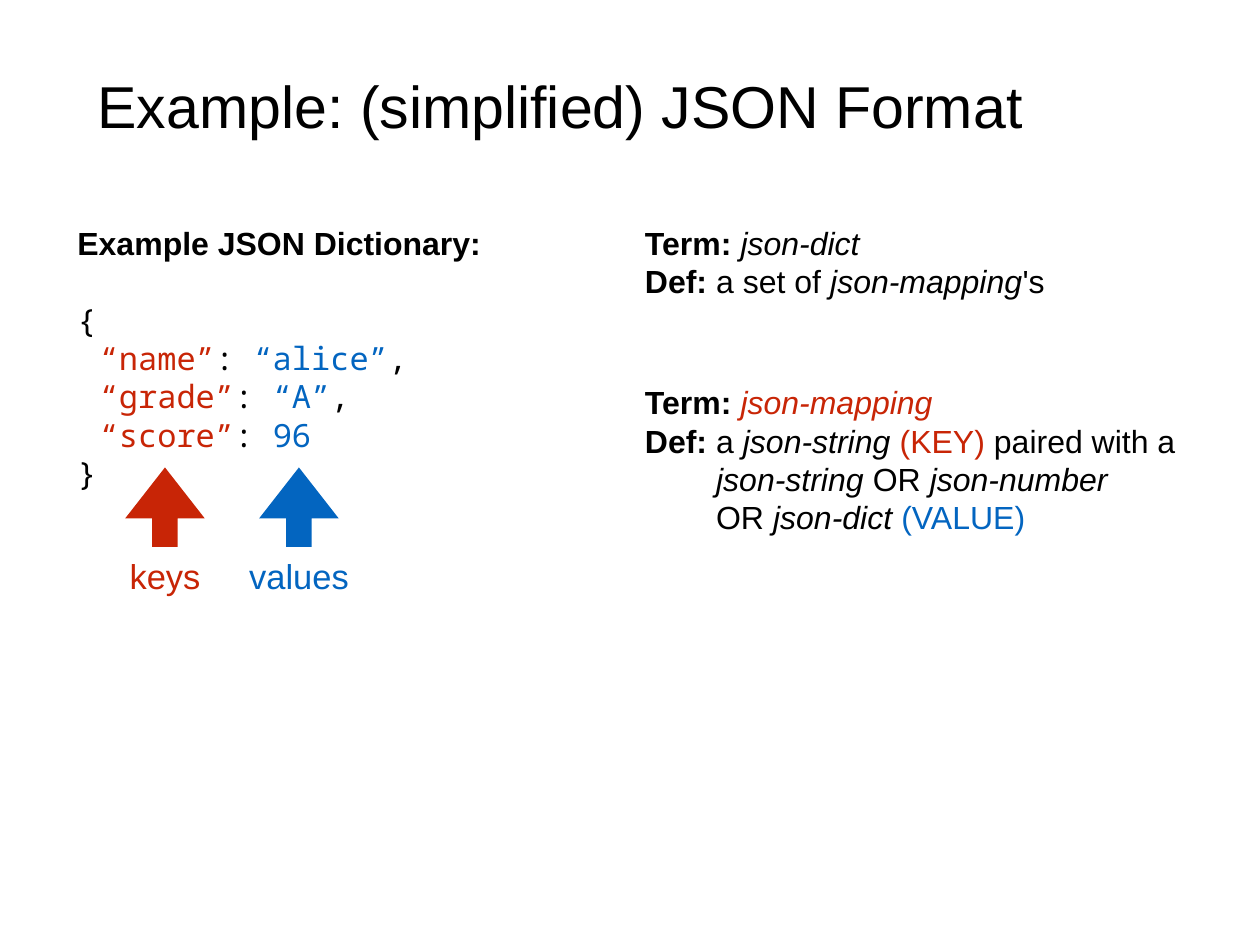
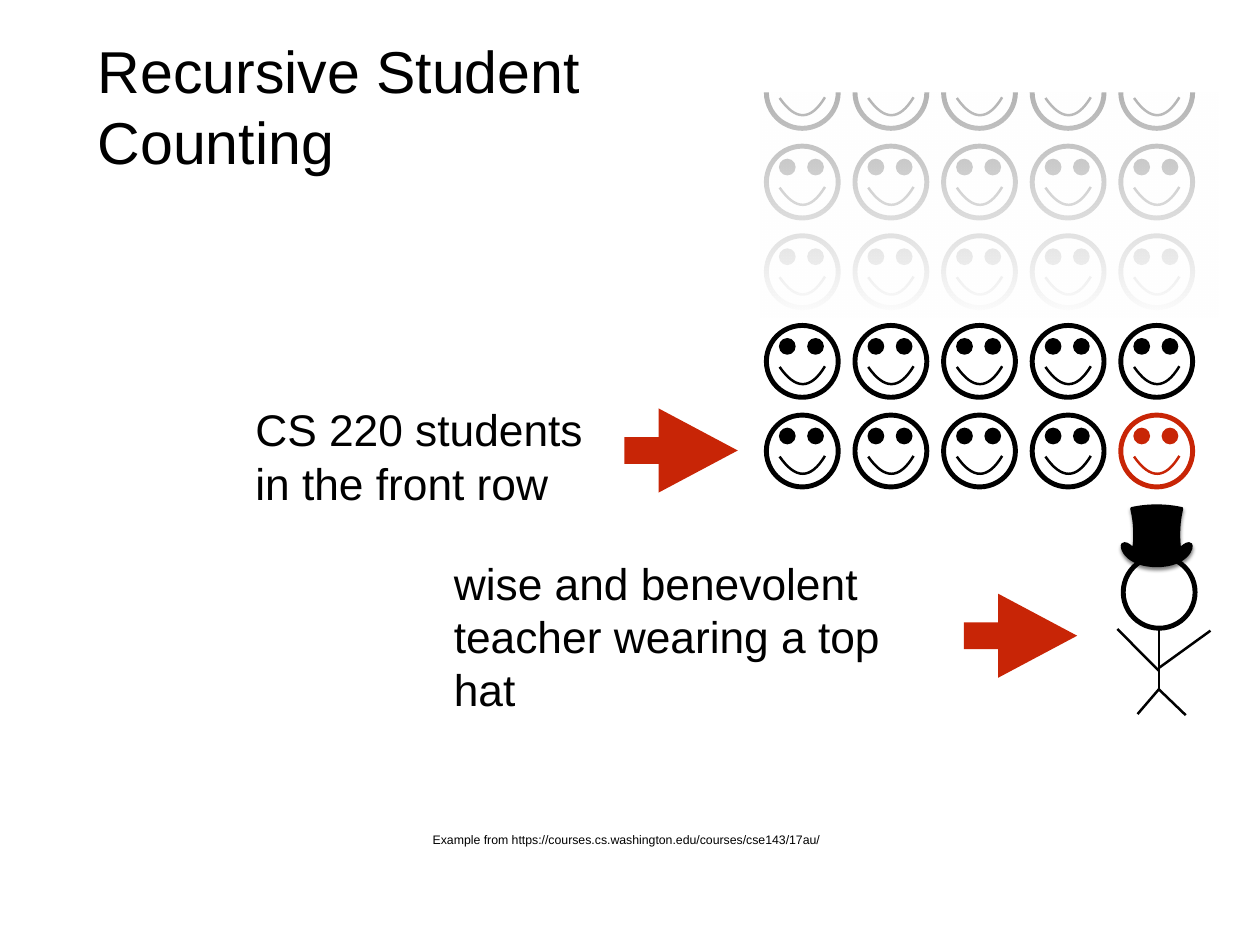
from dataclasses import dataclass

from lxml.etree import SubElement
from pptx import Presentation
from pptx.dml.color import RGBColor
from pptx.enum.shapes import MSO_CONNECTOR as LINE, MSO_SHAPE as SHAPE
from pptx.enum.text import MSO_ANCHOR as ANCHOR, PP_ALIGN as ALIGN
from pptx.oxml.ns import qn
from pptx.util import Cm, Pt

# Shared look
COLORS = {"black": "000000", "white": "FFFFFF", "red": "C82506", "blue": "0365C0"}
FORMATS = {
    "plain": {"name": "Arial", "bold": False, "italic": False},
    "bold": {"name": "Arial", "bold": True, "italic": False},
    "italic": {"name": "Arial", "bold": False, "italic": True},
    "mono": {"name": "Noto Sans Mono", "bold": False, "italic": False},
}
INSET = Cm(0.14)
LINE_PITCH = 1.2  # line height as a multiple of the text size
TITLE_BOX, TITLE_SIZE = (2.66, 1.23, 30.84, 3.58), 48
BODY_SIZE, LABEL_SIZE, CAPTION_SIZE, SOURCE_SIZE = 26, 28, 36, 10

Point = tuple[float, float]
Box = tuple[float, float, float, float]


@dataclass
class Run:
    text: str
    color: str = "black"
    style: str = "plain"


@dataclass
class Para:
    runs: list[Run]
    before: float = 0
    left: float = 0
    first: float = 0


@dataclass
class Arrow:
    box: Box
    color: str = "red"
    head: float = 0.64
    rotation: int = 0


@dataclass
class Curve:
    """Start and cubic control points, with the box the drawn curve fills."""
    points: list[Point]
    box: Box
    closed: bool = False


def rgb(color: str) -> RGBColor:
    return RGBColor.from_string(COLORS[color])


# Drawing helpers
def add_text(s, box: Box, paras: list[Para], size: float,
             anchor=ANCHOR.MIDDLE, centred: bool = False) -> None:
    tf = s.shapes.add_textbox(*map(Cm, box)).text_frame
    settings = {"word_wrap": not centred, "vertical_anchor": anchor,
                "margin_left": INSET, "margin_right": INSET,
                "margin_top": INSET, "margin_bottom": INSET}
    for name, value in settings.items():
        setattr(tf, name, value)
    for i, para in enumerate(paras):
        p = tf.paragraphs[0] if i == 0 else tf.add_paragraph()
        p.alignment = ALIGN.CENTER if centred else ALIGN.LEFT
        p.line_spacing = Pt(size * LINE_PITCH)
        p.space_before = Pt(para.before)
        pPr = p._p.get_or_add_pPr()
        pPr.set("marL", str(Cm(para.left)))
        pPr.set("indent", str(Cm(para.first)))
        for run in para.runs:
            for j, piece in enumerate(run.text.split("\n")):
                if j:
                    p.add_line_break()
                if piece:
                    r = p.add_run()
                    r.text = piece
                    for name, value in FORMATS[run.style].items():
                        setattr(r.font, name, value)
                    r.font.size = Pt(size)
                    r.font.color.rgb = rgb(run.color)


def paint(sp, fill: str | None = None, line: str | None = None, width: float = 0) -> None:
    sp.shadow.inherit = False
    if fill:
        sp.fill.solid()
        sp.fill.fore_color.rgb = rgb(fill)
    else:
        sp.fill.background()
    if line:
        sp.line.color.rgb = rgb(line)
        sp.line.width = Pt(width)
    else:
        sp.line.fill.background()


def add_shape(shapes, kind, box: Box, **look):
    sp = shapes.add_shape(kind, *map(Cm, box))
    paint(sp, **look)
    return sp


def add_arrow(s, arrow: Arrow) -> None:
    sp = add_shape(s.shapes, SHAPE.RIGHT_ARROW, arrow.box, fill=arrow.color)
    sp.adjustments[0], sp.adjustments[1] = 0.32, arrow.head
    sp.rotation = arrow.rotation


def add_curve(shapes, curve: Curve, x: float, y: float, **look):
    """Build the control polygon, then turn each three lines into one cubic."""
    points = [(Cm(x + dx), Cm(y + dy)) for dx, dy in curve.points]
    builder = shapes.build_freeform(*points[0], scale=1.0)
    builder.add_line_segments(points[1:], close=curve.closed)
    sp = builder.convert_to_shape()
    outline = next(sp._element.iter(qn("a:path")))
    lines = outline.findall(qn("a:lnTo"))
    for first, second, third in zip(lines[::3], lines[1::3], lines[2::3]):
        first.tag = qn("a:cubicBezTo")
        for line in (second, third):
            first.append(line[0])
            outline.remove(line)

    # Fit the frame to the curve instead of its control points
    left, top, width, height = map(Cm, curve.box)
    left, top = left + Cm(x), top + Cm(y)
    for pt in outline.iter(qn("a:pt")):
        pt.set("x", str(int(pt.get("x")) + sp.left - left))
        pt.set("y", str(int(pt.get("y")) + sp.top - top))
    outline.set("w", str(width))
    outline.set("h", str(height))
    frame = {"left": left, "top": top, "width": width, "height": height}
    for name, value in frame.items():
        setattr(sp, name, value)
    paint(sp, **look)
    return sp


def add_line(shapes, start: Point, end: Point) -> None:
    cn = shapes.add_connector(LINE.STRAIGHT, *map(Cm, start + end))
    cn.line.color.rgb = rgb("black")
    cn.line.width = Pt(2)
    SubElement(cn._element.spPr, qn("a:effectLst"))


def new_slide(prs, title: str):
    s = prs.slides.add_slide(prs.slide_layouts[6])
    add_text(s, TITLE_BOX, [Para([Run(title)])], TITLE_SIZE)
    return s


# Slide 1: JSON
def entry(key: str, value: str, end: str = "") -> Para:
    runs = [Run(key, "red", "mono"), Run(": ", style="mono"), Run(value, "blue", "mono")]
    return Para(runs + ([Run(end, style="mono")] if end else []), left=0.64)


def build_json(prs) -> None:
    s = new_slide(prs, "Example: (simplified) JSON Format")
    blank = BODY_SIZE * LINE_PITCH
    add_text(s, (2.08, 6.26, 12.42, 9.02), [
        Para([Run("Example JSON Dictionary:", style="bold")]),
        Para([Run("{", style="mono")], before=blank),
        entry("“name”", "“alice”", ","),
        entry("“grade”", "“A”", ","),
        entry("“score”", "96"),
        Para([Run("}", style="mono")]),
    ], BODY_SIZE, ANCHOR.TOP)

    term, definition = Run("Term: ", style="bold"), Run("Def:", style="bold")
    hanging = {"left": 2.04, "first": -2.04}
    add_text(s, (18.35, 6.26, 16.46, 9.91), [
        Para([term, Run("json-dict", style="italic")]),
        Para([definition, Run(" a set of "), Run("json-mapping", style="italic"),
              Run("'s")], **hanging),
        Para([term, Run("json-mapping", "red", "italic")], before=blank + 36),
        Para([definition, Run(" a "), Run("json-string ", style="italic"),
              Run("(KEY)", "red"), Run(" paired with a\n"),
              Run("json-string ", style="italic"), Run("OR "),
              Run("json-number\n", style="italic"), Run("OR "),
              Run("json-dict ", style="italic"), Run("(VALUE)", "blue")], **hanging),
    ], BODY_SIZE, ANCHOR.TOP)

    # Pointers to keys and values
    for text, color, x, half in (("keys", "red", 4.73, 1.18), ("values", "blue", 8.57, 1.59)):
        add_arrow(s, Arrow((x - 1.14, 13.4, 2.28, 2.28), color, rotation=270))
        add_text(s, (x - half, 15.77, 2 * half, 1.47), [Para([Run(text, color)])],
                 LABEL_SIZE, centred=True)


# Slide 2: students and teacher
FACE, EYE = 2.06, 0.48
ROWS = COLUMNS = 5
SMILE = Curve([(1.68, 1.17), (1.27, 1.85), (0.84, 1.85), (0.38, 1.19)],
              (0.38, 1.17, 1.3, 0.51))
HAT_LEFT = [
    (0, 0), (-0.28, 0), (-0.51, 0.03), (-0.74, 0.08),
    (-0.76, 0.08), (-0.77, 0.1), (-0.76, 0.13),
    (-0.66, 0.51), (-0.66, 0.94), (-0.69, 1.19),
    (-0.69, 1.19), (-0.69, 1.19), (-0.71, 1.19),
    (-0.76, 1.14), (-0.91, 1.02), (-1.01, 1.12),
    (-1.11, 1.24), (-0.89, 1.8), (0, 1.8),
]
HAT = Curve(HAT_LEFT + [(-x, y) for x, y in reversed(HAT_LEFT[:-1])],
            (-1.03, 0, 2.06, 1.8), closed=True)


def add_face(shapes, x: float, y: float, color: str, eyes: bool) -> None:
    add_shape(shapes, SHAPE.OVAL, (x, y, FACE, FACE), line=color, width=4)
    for dx in (0.36, 1.17) if eyes else ():
        add_shape(shapes, SHAPE.OVAL, (x + dx, y + 0.36, EYE, EYE), fill=color)
    add_curve(shapes, SMILE, x, y, line=color, width=2)


def add_teacher(s) -> None:
    shapes = s.shapes.add_group_shape().shapes
    add_shape(shapes, SHAPE.OVAL, (32.2, 15.95, FACE, FACE), line="black", width=4)
    x, hip = 33.22, 19.76
    for start, end in (((x, hip), (x, 18.03)),
                       ((x, 19.23), (32.03, 18.03)),
                       ((34.7, 18.08), (x, 19.15)),
                       ((33.99, 20.5), (x, hip)),
                       ((32.61, 20.47), (x, hip))):
        add_line(shapes, start, end)


def add_hat(s) -> None:
    hat = add_curve(s.shapes, HAT, 33.16, 14.46, fill="black")
    effects = hat._element.spPr.find(qn("a:effectLst"))
    shadow = SubElement(effects, qn("a:outerShdw"), blurRad=str(Pt(3)), dist=str(Pt(2)),
                        dir="5400000", rotWithShape="0")
    tint = SubElement(shadow, qn("a:srgbClr"), val=COLORS["black"])
    SubElement(tint, qn("a:alpha"), val="50000")


def add_fade(s) -> None:
    veil = add_shape(s.shapes, SHAPE.RECTANGLE, (21.79, 2.46, 13.13, 6.63))
    veil.fill.gradient()
    veil.fill.gradient_angle = 270
    for stop, position in zip(veil.fill.gradient_stops, (0, 1)):
        stop.position = position
        stop.color.rgb = rgb("white")
    first = next(veil._element.spPr.iter(qn("a:srgbClr")))
    SubElement(first, qn("a:alpha"), val="70000")
    add_shape(s.shapes, SHAPE.RECTANGLE, (21.16, 0.13, 13.82, 2.52), fill="white")


def build_counting(prs) -> None:
    s = new_slide(prs, "Recursive Student\nCounting")
    for row in reversed(range(ROWS)):
        shapes = s.shapes.add_group_shape().shapes
        for col in range(COLUMNS):
            is_corner = row == ROWS - 1 and col == COLUMNS - 1
            add_face(shapes, 21.97 + 2.54 * col, 1.62 + 2.57 * row,
                     "red" if is_corner else "black", eyes=row > 0)
    add_teacher(s)
    add_fade(s)

    # Captions
    add_text(s, (12.16, 23.72, 11.58, 0.71),
             [Para([Run("Example from https://courses.cs.washington.edu/courses/cse143/17au/")])],
             SOURCE_SIZE, centred=True)
    for box, lines in (
        ((7.18, 11.39, 10, 3.35), ("CS 220 students", "in the front row")),
        ((12.87, 16.56, 14.3, 3.35), ("wise and benevolent", "teacher wearing a top hat")),
    ):
        add_text(s, box, [Para([Run(line)]) for line in lines], CAPTION_SIZE)
    for x, y in ((17.9, 11.71), (27.63, 17.02)):
        add_arrow(s, Arrow((x, y, 3.25, 2.41), head=0.94))
    add_hat(s)


def main() -> None:
    prs = Presentation()
    prs.slide_width, prs.slide_height = Cm(36.12), Cm(27.09)
    build_json(prs)
    build_counting(prs)
    prs.save("out.pptx")


if __name__ == "__main__":
    main()
